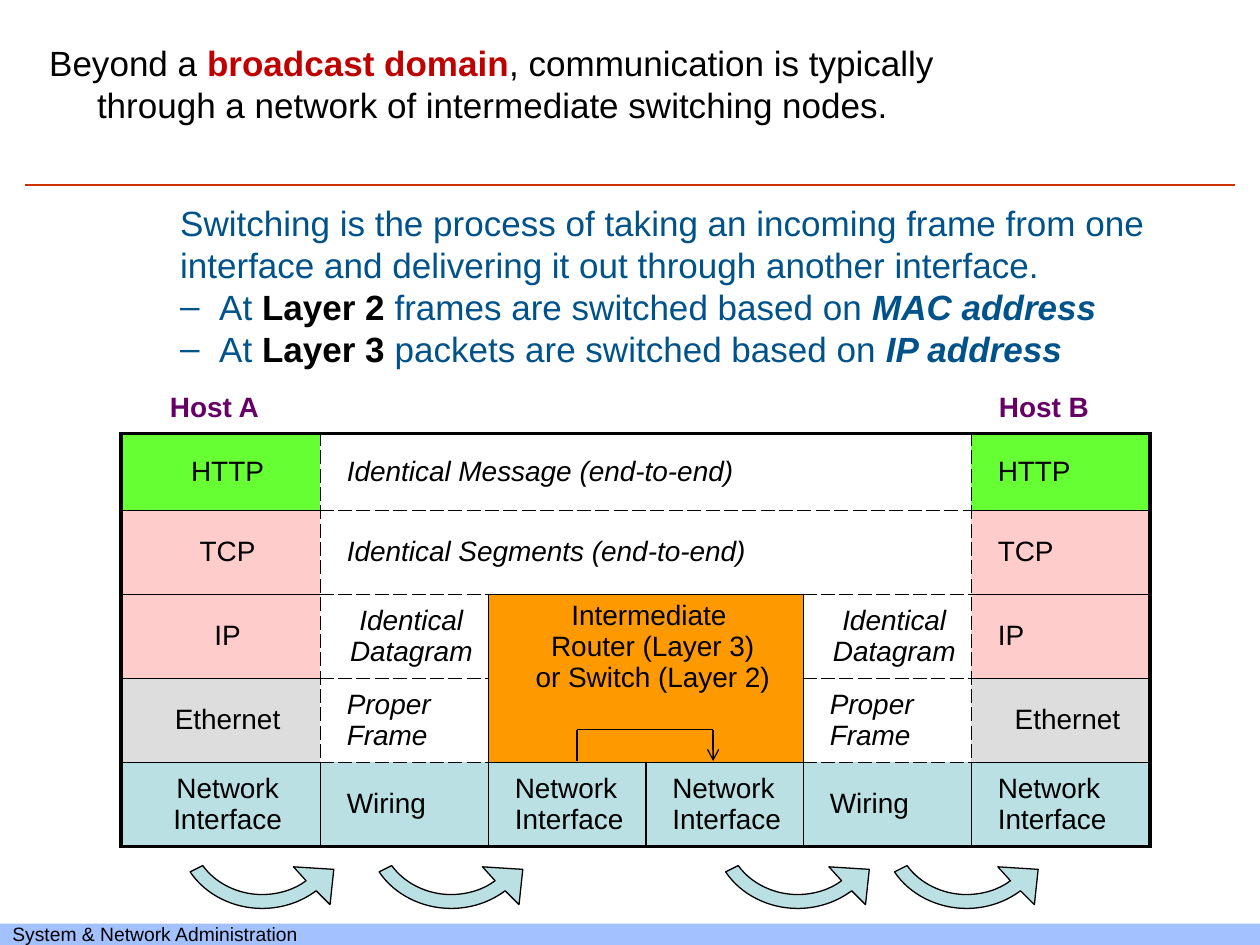
from dataclasses import dataclass

from lxml import etree
from pptx import Presentation
from pptx.dml.color import RGBColor
from pptx.enum.shapes import MSO_CONNECTOR, MSO_SHAPE
from pptx.enum.text import MSO_ANCHOR, MSO_AUTO_SIZE, PP_ALIGN
from pptx.oxml.ns import qn
from pptx.slide import Slide
from pptx.util import Inches, Pt

LEFT, CENTER = PP_ALIGN.LEFT, PP_ALIGN.CENTER
TOP, MIDDLE = MSO_ANCHOR.TOP, MSO_ANCHOR.MIDDLE
NO_FIT = MSO_AUTO_SIZE.NONE
STRAIGHT, RECT = MSO_CONNECTOR.STRAIGHT, MSO_SHAPE.RECTANGLE
SWOOSH_SIZE = (1.33, 1.17)
SWOOSH = (
    ("moveTo", [(1.02, 0.95)]),
    ("cubicBezTo", [(0.93, 1.02), (0.8, 1.06), (0.67, 1.06)]),
    ("cubicBezTo", [(0.48, 1.06), (0.3, 0.97), (0.2, 0.83)]),
    ("lnTo", [(0.1, 0.88)]),
    ("cubicBezTo", [(0.22, 1.06), (0.44, 1.17), (0.67, 1.17)]),
    ("cubicBezTo", [(0.83, 1.17), (0.98, 1.12), (1.1, 1.03)]),
    ("lnTo", [(1.21, 1.14)]),
    ("lnTo", [(1.24, 0.86)]),
    ("lnTo", [(0.92, 0.84)]),
    ("lnTo", [(1.02, 0.95)]),
    ("close", []),
)


@dataclass(frozen=True)
class Theme:
    """Colours, font and type sizes of the slide."""
    font: str = "Arial"
    black: str = "000000"
    blue: str = "00528B"
    red: str = "C00000"
    purple: str = "660066"
    rule: str = "CC3300"
    footer: str = "A2C1FE"
    app: str = "66FF33"
    net: str = "FFCCCC"
    link: str = "DDDDDD"
    wire: str = "BBE0E3"
    router: str = "FF9900"
    lead: int = 20
    label: int = 16
    small: int = 11


@dataclass
class Builder:
    """Draws each kind of element on the current slide."""
    s: Slide
    theme: Theme

    def paragraph(self, p, runs, size, color, align=LEFT, margin=0, indent=0, bullet=None):
        """Fill a paragraph with (text, format) runs."""
        pPr = p._p.get_or_add_pPr()
        pPr.set("marL", str(Inches(margin)))
        pPr.set("indent", str(Inches(indent)))
        if bullet:
            etree.SubElement(pPr, qn("a:buChar")).set("char", bullet)
        else:
            etree.SubElement(pPr, qn("a:buNone"))
        p.alignment, p.space_before = align, Pt(0)
        for text, fmt in runs:
            r = p.add_run()
            r.text = text
            values = {"name": self.theme.font, "size": Pt(size), "bold": False, "italic": False, **fmt}
            r.font.color.rgb = RGBColor.from_string(values.pop("color", color))
            for key, value in values.items():
                setattr(r.font, key, value)

    def frame(self, tf, paragraphs, size, color, wrap=True, anchor=TOP):
        """Set up a text frame and write its (runs, layout) paragraphs."""
        for key, value in {"word_wrap": wrap, "vertical_anchor": anchor, "auto_size": NO_FIT}.items():
            setattr(tf, key, value)
        for i, (runs, layout) in enumerate(paragraphs):
            p = tf.add_paragraph() if i else tf.paragraphs[0]
            self.paragraph(p, runs, size, color, **layout)

    def placeholder(self, idx, box, paragraphs, color):
        """Move a template placeholder and fill it."""
        sp = self.s.placeholders[idx]
        sp.left, sp.top, sp.width, sp.height = map(Inches, box)
        self.frame(sp.text_frame, paragraphs, self.theme.lead, color)

    def label(self, box, text):
        """Add a bold one-line label."""
        sp = self.s.shapes.add_textbox(*map(Inches, box))
        self.frame(sp.text_frame, [([(text, {"bold": True})], {})],
                   self.theme.label, self.theme.purple, wrap=False)

    def bar(self, box, text):
        """Add the footer bar."""
        sp = self.s.shapes.add_shape(RECT, *map(Inches, box))
        sp.shadow.inherit = False
        sp.fill.solid()
        sp.fill.fore_color.rgb = RGBColor.from_string(self.theme.footer)
        sp.line.fill.background()
        self.frame(sp.text_frame, [([(text, {})], {})],
                   self.theme.small, self.theme.black, wrap=False, anchor=MIDDLE)

    def line(self, start, end, color, width, arrow=False):
        """Add a straight line, with an arrowhead if asked."""
        cx = self.s.shapes.add_connector(STRAIGHT, *map(Inches, start + end))
        cx.line.color.rgb = RGBColor.from_string(color)
        cx.line.width = Pt(width)
        if arrow:
            etree.SubElement(cx.line._get_or_add_ln(), qn("a:tailEnd")).set("type", "arrow")
        etree.SubElement(cx._element.spPr, qn("a:effectLst"))

    def swoosh(self, left, top):
        """Add a curved arrow whose frame starts at the given corner."""
        width, height = SWOOSH_SIZE
        fb = self.s.shapes.build_freeform(Inches(left), Inches(top))
        fb.add_line_segments([(Inches(left + width), Inches(top + height))])
        sp = fb.convert_to_shape()
        outline = next(sp._element.iter(qn("a:path")))
        for step in list(outline):
            outline.remove(step)
        for command, points in SWOOSH:
            step = etree.SubElement(outline, qn(f"a:{command}"))
            for x, y in points:
                pt = etree.SubElement(step, qn("a:pt"))
                pt.set("x", str(Inches(x)))
                pt.set("y", str(Inches(y)))
        sp.shadow.inherit = False
        sp.fill.solid()
        sp.fill.fore_color.rgb = RGBColor.from_string(self.theme.wire)
        sp.line.color.rgb = RGBColor.from_string(self.theme.black)
        sp.line.width = Pt(0.75)

    def border(self, cell, tag, width, dashed):
        """Draw one border of a cell."""
        ln = etree.SubElement(cell._tc.get_or_add_tcPr(), qn(tag))
        ln.set("w", str(Pt(width)))
        fill = etree.SubElement(ln, qn("a:solidFill"))
        etree.SubElement(fill, qn("a:srgbClr")).set("val", self.theme.black)
        etree.SubElement(ln, qn("a:prstDash")).set("val", "lgDash" if dashed else "solid")

    def stack(self, box, cols, rows, fills, cells):
        """Add the protocol table; borders follow from the neighbouring fills."""
        tbl = self.s.shapes.add_table(len(rows), len(cols), *map(Inches, box)).table
        tbl.first_row = tbl.horz_banding = False
        for items, sizes, key in ((tbl.columns, cols, "width"), (tbl.rows, rows, "height")):
            for item, size in zip(items, sizes):
                setattr(item, key, Inches(size))
        for (row, col), (lines, align, (h, w)) in cells.items():
            cell = tbl.cell(row, col)
            if (h, w) != (1, 1):
                cell.merge(tbl.cell(row + h - 1, col + w - 1))
            fill = fills[row][col]
            cell.vertical_anchor = TOP if fill == self.theme.router else MIDDLE
            sides = {"a:lnL": (row, col - 1), "a:lnR": (row, col + w),
                     "a:lnT": (row - 1, col), "a:lnB": (row + h, col)}
            for tag, (y, x) in sides.items():
                inside = 0 <= y < len(rows) and 0 <= x < len(cols)
                pair = (fill, fills[y][x]) if inside else ()
                dashed = None in pair and self.theme.router not in pair
                self.border(cell, tag, 1 if inside else 2.25, dashed)
            if fill:
                cell.fill.solid()
                cell.fill.fore_color.rgb = RGBColor.from_string(fill)
            else:
                cell.fill.background()
            for i, text in enumerate(lines):
                p = cell.text_frame.add_paragraph() if i else cell.text_frame.paragraphs[0]
                self.paragraph(p, [(text, {"italic": fill is None})], self.theme.label,
                               self.theme.black, align, margin=0.11)


def main():
    """Build and save the slide."""
    prs = Presentation()
    prs.slide_width, prs.slide_height = Inches(10), Inches(7.5)
    th = Theme()
    b = Builder(prs.slides.add_slide(prs.slide_layouts[1]), th)
    b.bar((0, 7.33, 10, 0.17), "System & Network Administration")
    b.line((0.2, 1.47), (9.8, 1.47), th.rule, 1.5)
    b.placeholder(0, (0.19, 0.28, 7.47, 0.92), [([
        ("Beyond a ", {}), ("broadcast domain", {"color": th.red, "bold": True}),
        (", communication is typically through a network of intermediate switching nodes.", {}),
    ], {"margin": 0.48, "indent": -0.38})], th.black)
    points = [([("At ", {}), (layer, {"color": th.black, "bold": True}), (text, {}),
                (key, {"bold": True, "italic": True})],
               {"margin": 0.81, "indent": -0.31, "bullet": "–"})
              for layer, text, key in (("Layer 2", " frames are switched based on ", "MAC address"),
                                       ("Layer 3 ", "packets are switched based on ", "IP address"))]
    intro = ("Switching is the process of taking an incoming frame from one interface "
             "and delivering it out through another interface.")
    b.placeholder(1, (0.83, 1.55, 8.43, 1.5), [([(intro, {})], {"margin": 0.5})] + points, th.blue)

    middle = [None, th.router, th.router, None]
    fills = [[th.app, *[None] * 4, th.app], [th.net, *[None] * 4, th.net],
             [th.net, *middle, th.net], [th.link, *middle, th.link], [th.wire] * 6]
    cells = {}
    for row, name in enumerate(("HTTP", "TCP", "IP", "Ethernet", "Network Interface")):
        cells[row, 0] = ([name], CENTER, (1, 1))
        cells[row, 5] = ([name], CENTER if name == "Ethernet" else LEFT, (1, 1))
    for row, name in enumerate(("Message", "Segments")):
        cells[row, 1] = ([f"Identical {name} (end-to-end)"], LEFT, (1, 4))
    for col in (1, 4):
        cells[2, col] = (["Identical Datagram"], CENTER, (1, 1))
        cells[3, col] = (["Proper Frame"], LEFT, (1, 1))
        cells[4, col] = (["Wiring"], LEFT, (1, 1))
    for col in (2, 3):
        cells[4, col] = (["Network Interface"], LEFT, (1, 1))
    cells[2, 2] = (["Intermediate ", "Router (Layer 3)", "or Switch (Layer 2)"], CENTER, (2, 2))
    b.stack((0.96, 3.44, 8.17, 3.28), (19 / 12, 4 / 3, 1.25, 1.25, 4 / 3, 17 / 12),
            (0.61, *[2 / 3] * 4), fills, cells)

    for left in (2.91, 5.66, 7, 1.41):
        b.swoosh(left, 6.04)
    for left, text in ((1.25, "Host A"), (7.83, "Host B")):
        b.label((left, 3.04, 0.92, 0.34), text)
    route = [(4.58, 6.04), (4.58, 5.79), (5.66, 5.79), (5.66, 6.04)]
    for start, end in zip(route, route[1:]):
        b.line(start, end, th.black, 0.75, arrow=end == route[-1])
    prs.save("out.pptx")


if __name__ == "__main__":
    main()
